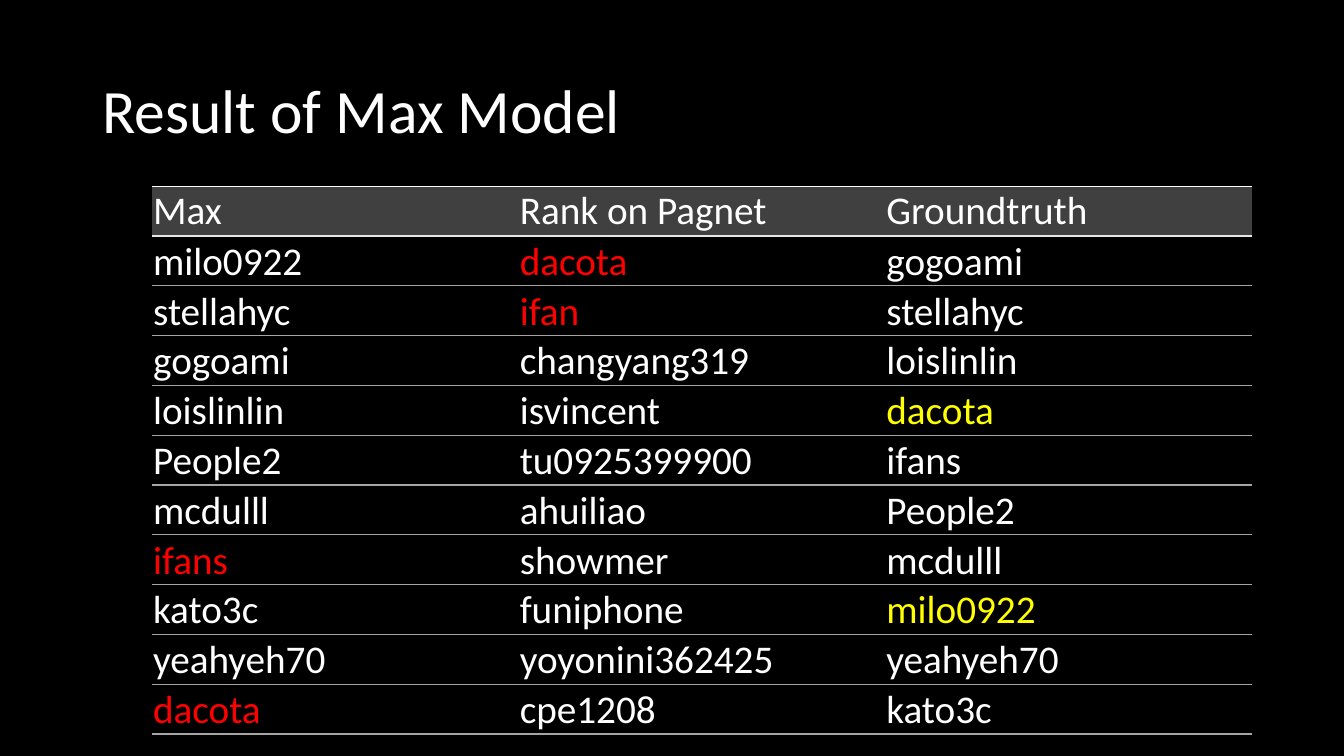
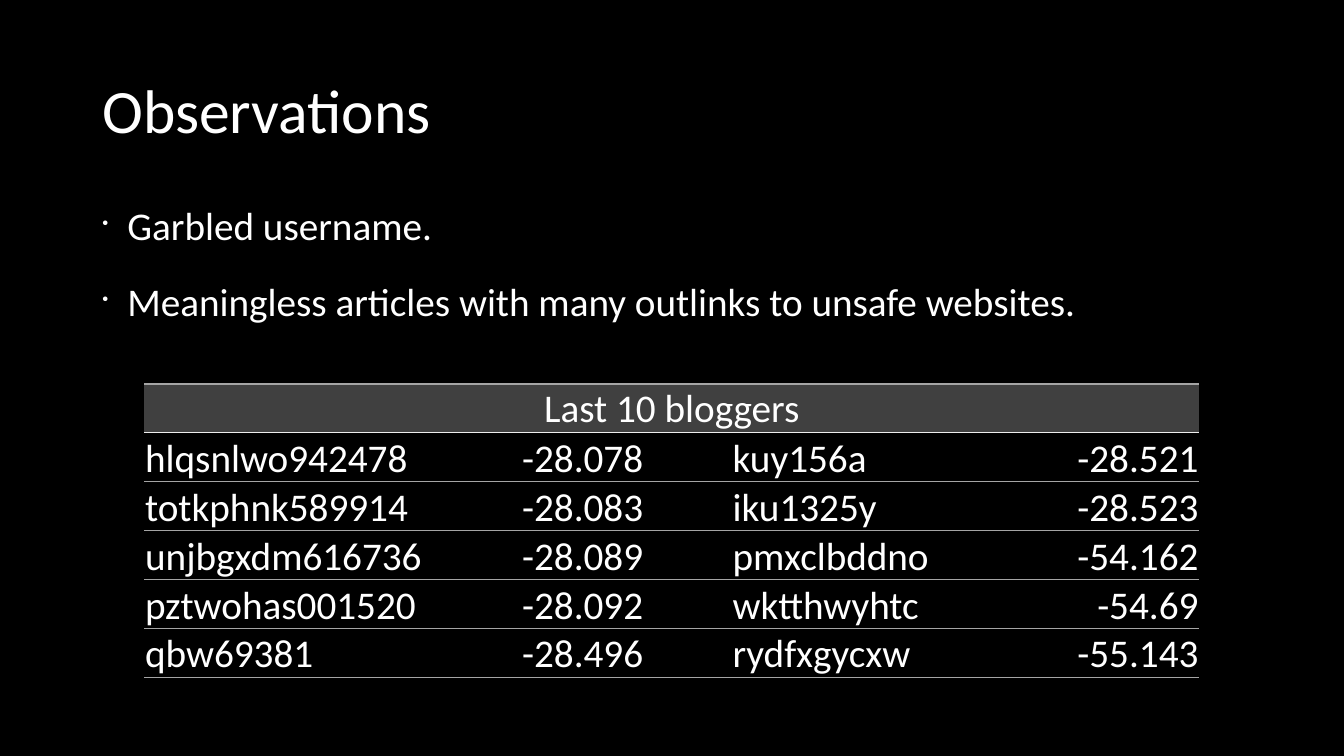
from lxml import etree
from pptx import Presentation
from pptx import util as u
from pptx.dml import color
from pptx.enum import text
from pptx.oxml import ns

WHITE, RED, YELLOW = "FFFFFF", "FF0000", "FFFF00"
BLACK, HEADER, RULE = "000000", "404040", "A5A5A5"
LEFT, CENTER, RIGHT = text.PP_ALIGN.LEFT, text.PP_ALIGN.CENTER, text.PP_ALIGN.RIGHT


def paint(fill, shade):
    fill.solid()
    fill.fore_color.rgb = color.RGBColor.from_string(shade)


def add_node(parent, tag, **attributes):
    return etree.SubElement(parent, ns.qn(tag), attributes)


def write(para, words, size=28, shade=WHITE, align=LEFT, spacing=0.9, before=0, after=0):
    para.alignment = align
    para.line_spacing = spacing
    para.space_before = u.Pt(before)
    para.space_after = u.Pt(after)
    span = para.add_run()
    span.text = words
    span.font.name = "Calibri"
    span.font.size = u.Pt(size)
    paint(span.font.fill, shade)


def add_bullet(para, indent=18, percent=45):
    props = para._p.get_or_add_pPr()
    props.set("marL", str(u.Pt(indent)))
    props.set("indent", str(-u.Pt(indent)))
    add_node(add_node(props, "a:buClr"), "a:srgbClr", val=WHITE)
    add_node(props, "a:buSzPct", val=str(percent * 1000))
    add_node(props, "a:buChar", char="•")


def set_borders(cell, top, bottom):
    props = cell._tc.get_or_add_tcPr()
    for side in ("a:lnL", "a:lnR"):
        add_node(add_node(props, side, w="0"), "a:noFill")
    for side, (shade, width) in (("a:lnT", top), ("a:lnB", bottom)):
        line = add_node(props, side, w=str(u.Pt(width)))
        add_node(add_node(line, "a:solidFill"), "a:srgbClr", val=shade)


class SlideBuilder:
    def __init__(self):
        self.deck = Presentation()
        self.deck.slide_width, self.deck.slide_height = u.Pt(960), u.Pt(540)
        paint(self.deck.slide_master.background.fill, BLACK)
        self.page = None

    def start(self, title):
        self.page = self.deck.slides.add_slide(self.deck.slide_layouts[6])
        frame = self.add_box(66, 28.8, 828, 104.4)
        frame.vertical_anchor = text.MSO_ANCHOR.MIDDLE
        write(frame.paragraphs[0], title, size=44)

    def add_box(self, left, top, width, height):
        box = self.page.shapes.add_textbox(u.Pt(left), u.Pt(top), u.Pt(width), u.Pt(height))
        box.text_frame.word_wrap = True
        return box.text_frame

    def bullets(self, lines):
        frame = self.add_box(66, 144, 828, 342.7)
        for index, line in enumerate(lines):
            para = frame.add_paragraph() if index else frame.paragraphs[0]
            write(para, line, before=10, after=14.2)
            add_bullet(para)

    def table(self, rows, left, top, widths, height, aligns, top_rule, header_rule,
              marks=None, banner=False):
        marks = marks or {}
        graphic = self.page.shapes.add_table(
            len(rows), len(widths), u.Pt(left), u.Pt(top),
            u.Pt(sum(widths)), u.Pt(height * len(rows)))
        grid = graphic.table
        grid.first_row = grid.horz_banding = False
        for column, width in zip(grid.columns, widths):
            column.width = u.Pt(width)
        rules = [(top_rule, 0.91), (header_rule, 1)] + [(RULE, 0.91)] * (len(rows) - 1)
        for r, row in enumerate(rows):
            grid.rows[r].height = u.Pt(height)
            for c, words in enumerate(row):
                cell = grid.cell(r, c)
                set_borders(cell, rules[r], rules[r + 1])
                if r:
                    cell.fill.background()
                else:
                    paint(cell.fill, HEADER)
                cell.vertical_anchor = text.MSO_ANCHOR.MIDDLE
                cell.margin_left = cell.margin_top = cell.margin_right = u.Pt(0.7)
                cell.margin_bottom = 0
                if words:
                    write(cell.text_frame.paragraphs[0], words,
                          shade=marks.get((r, c), WHITE),
                          align=aligns[c] if r else CENTER if banner else LEFT,
                          spacing=1.02 if r else 1.0)
        if banner:
            grid.cell(0, 0).merge(grid.cell(0, len(widths) - 1))


def main():
    builder = SlideBuilder()

    builder.start("Result of Max Model")
    rankings = [
        ("Max", "Rank on Pagnet", "Groundtruth"),
        ("milo0922", "dacota", "gogoami"),
        ("stellahyc", "ifan", "stellahyc"),
        ("gogoami", "changyang319", "loislinlin"),
        ("loislinlin", "isvincent", "dacota"),
        ("People2", "tu0925399900", "ifans"),
        ("mcdulll", "ahuiliao", "People2"),
        ("ifans", "showmer", "mcdulll"),
        ("kato3c", "funiphone", "milo0922"),
        ("yeahyeh70", "yoyonini362425", "yeahyeh70"),
        ("dacota", "cpe1208", "kato3c"),
    ]
    marks = {(1, 1): RED, (2, 1): RED, (7, 0): RED, (10, 0): RED,
             (4, 2): YELLOW, (8, 2): YELLOW}
    builder.table(rankings, 108.7, 133, [261.9] * 3, 35.6, [LEFT] * 3,
                  WHITE, "E7E6E6", marks=marks)

    builder.start("Observations")
    builder.bullets([
        "Garbled username.",
        "Meaningless articles with many outlinks to unsafe websites.",
    ])
    bloggers = [
        ("Last 10 bloggers", "", "", "", ""),
        ("hlqsnlwo942478", "-28.078", "", "kuy156a", "-28.521"),
        ("totkphnk589914", "-28.083", "", "iku1325y", "-28.523"),
        ("unjbgxdm616736", "-28.089", "", "pmxclbddno", "-54.162"),
        ("pztwohas001520", "-28.092", "", "wktthwyhtc", "-54.69"),
        ("qbw69381", "-28.496", "", "rydfxgycxw", "-55.143"),
    ]
    builder.table(bloggers, 103, 274.3, [249.1, 108, 62.6, 193, 141.1], 34.9,
                  [LEFT, RIGHT, LEFT, LEFT, RIGHT], RULE, "EDEDED", banner=True)

    builder.deck.save("out.pptx")


if __name__ == "__main__":
    main()
